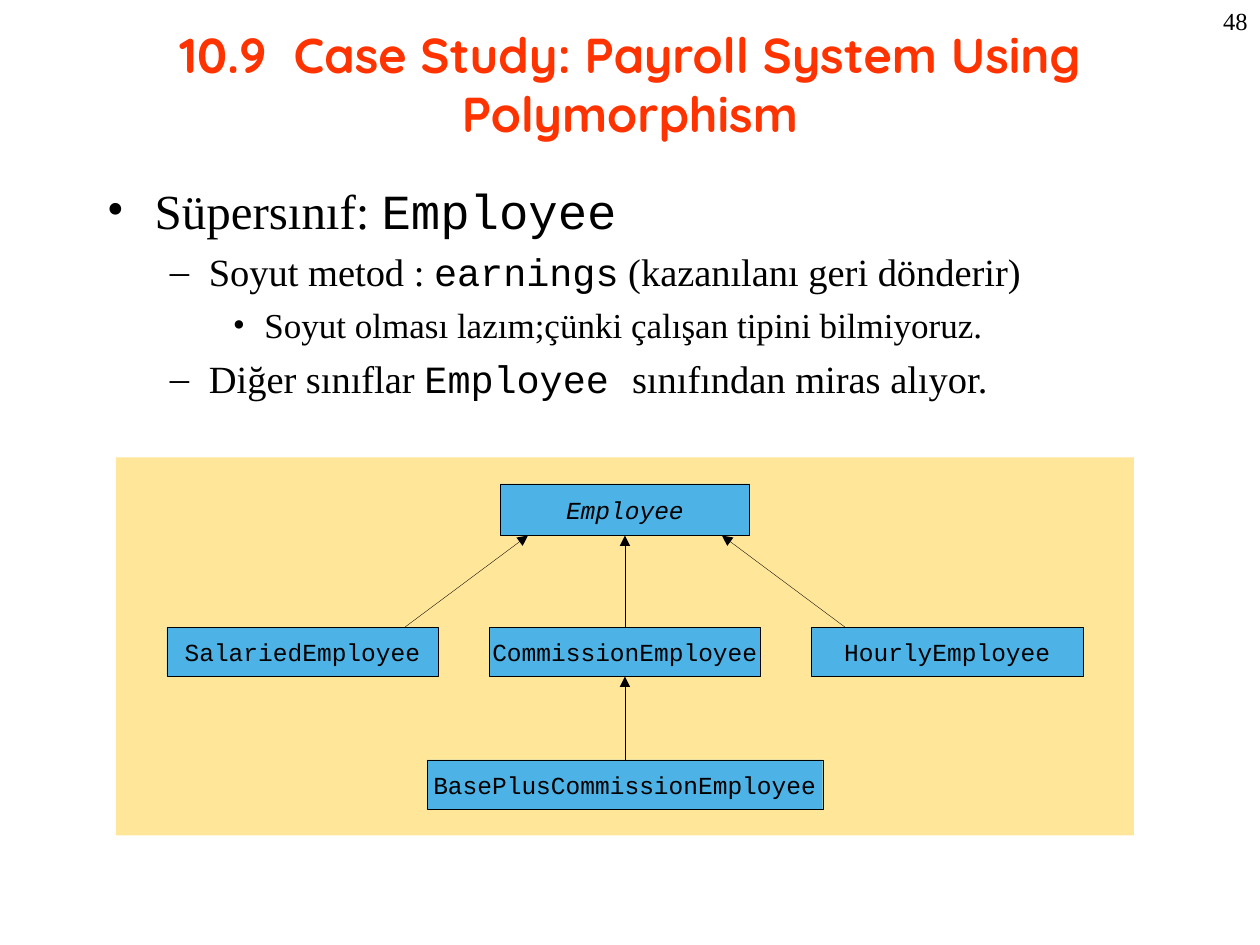
from lxml.etree import SubElement
from pptx import Presentation
from pptx.dml.color import RGBColor
from pptx.enum.shapes import MSO_CONNECTOR as Connector, MSO_SHAPE as Shape
from pptx.enum.text import MSO_ANCHOR as Anchor, PP_ALIGN as Align
from pptx.oxml.ns import qn
from pptx.util import Inches, Pt

SERIF, MONO, DISPLAY = "Times New Roman", "Courier New", "Quicksand"
BLACK, RED, SAND, BLUE = "000000", "FF3300", "FFE699", "4DB3E6"
TOP, BOTTOM = 0, 2
LEVELS = [("•", 28, 0.38, 0.38, 0), ("–", 22, 0.81, 0.31, 5.5), ("•", 20, 1.25, 0.25, 5)]
OUTLINE = [
    (0, [("Süpersınıf: ", SERIF), ("Employee", MONO)]),
    (1, [("Soyut metod : ", SERIF), ("earnings", MONO), (" (kazanılanı geri dönderir)", SERIF)]),
    (2, [("Soyut olması lazım;çünki çalışan tipini bilmiyoruz.", SERIF)]),
    (1, [("Diğer sınıflar ", SERIF), ("Employee ", MONO), ("sınıfından miras alıyor.", SERIF)]),
]


def color(hex_code):
    """Turn a hex string into a colour."""
    return RGBColor.from_string(hex_code)


def write(paragraph, text, font=SERIF, size=14, ink=BLACK, bold=False, italic=False, align=None):
    """Add a formatted run to a paragraph."""
    run = paragraph.add_run()
    run.text = text
    run.font.name, run.font.size = font, Pt(size)
    run.font.bold, run.font.italic = bold, italic
    run.font.color.rgb = color(ink)
    if align is not None:
        paragraph.alignment = align


def add_frame(slide, box, anchor=Anchor.TOP):
    """Place a wrapping text box and return its frame."""
    frame = slide.shapes.add_textbox(*map(Inches, box)).text_frame
    frame.word_wrap, frame.vertical_anchor = True, anchor
    return frame


def add_outline(slide, box):
    """Place the bulleted outline in the box."""
    frame = add_frame(slide, box)
    for index, (level, runs) in enumerate(OUTLINE):
        paragraph = frame.add_paragraph() if index else frame.paragraphs[0]
        mark, size, margin, hanging, before = LEVELS[level]
        paragraph.level = level
        if index:
            paragraph.space_before = Pt(before)
        properties = paragraph._p.get_or_add_pPr()
        properties.set("marL", str(Inches(margin)))
        properties.set("indent", str(-Inches(hanging)))
        SubElement(properties, qn("a:buFont"), typeface=SERIF)
        SubElement(properties, qn("a:buChar"), char=mark)
        for text, font in runs:
            write(paragraph, text, font=font, size=size)


def add_rectangle(slide, box, fill):
    """Place a flat rectangle without an outline."""
    rectangle = slide.shapes.add_shape(Shape.RECTANGLE, *map(Inches, box))
    rectangle.shadow.inherit = False
    rectangle.fill.solid()
    rectangle.fill.fore_color.rgb = color(fill)
    rectangle.line.fill.background()
    return rectangle


def add_class(slide, name, center, top, width, height=0.39, italic=False):
    """Place a class box centred on a column."""
    node = add_rectangle(slide, (center - width / 2, top, width, height), BLUE)
    node.line.color.rgb, node.line.width = color(BLACK), Pt(0.2)
    frame = node.text_frame
    frame.margin_left = frame.margin_right = frame.margin_top = frame.margin_bottom = 0
    frame.word_wrap, frame.vertical_anchor = False, Anchor.MIDDLE
    write(frame.paragraphs[0], name, font=MONO, italic=italic, align=Align.CENTER)
    return node


def add_arrow(slide, start=(0, 0), end=(0, 0), child=None, parent=None):
    """Draw an inheritance arrow between points or joined classes."""
    arrow = slide.shapes.add_connector(Connector.STRAIGHT, *map(Inches, (*start, *end)))
    if child is not None:
        arrow.begin_connect(child, TOP)
        arrow.end_connect(parent, BOTTOM)
    arrow.line.color.rgb, arrow.line.width = color(BLACK), Pt(0.2)
    SubElement(arrow.line._get_or_add_ln(), qn("a:tailEnd"), type="triangle")
    SubElement(arrow._element.spPr, qn("a:effectLst"))


def add_hierarchy(slide, box):
    """Place the class diagram in the box."""
    left, top, width, height = box
    add_rectangle(slide, box, SAND)
    gap = width / 20
    column = (width - 4 * gap) / 3
    centers = [left + gap + column / 2 + i * (column + gap) for i in range(3)]
    middle = centers[1]
    root_top, child_top, leaf_top = (top + height * share for share in (0.07, 0.45, 0.8))
    root_height = 0.41
    root = add_class(slide, "Employee", middle, root_top, 1.98, root_height, italic=True)
    names = ["SalariedEmployee", "CommissionEmployee", "HourlyEmployee"]
    children = [add_class(slide, name, center, child_top, column)
                for name, center in zip(names, centers)]
    leaf = add_class(slide, "BasePlusCommissionEmployee", middle, leaf_top, 3.14)
    for side in (-1, 1):
        add_arrow(slide, (middle + side * 1.75, child_top),
                  (middle + side * 0.77, root_top + root_height))
    add_arrow(slide, child=children[1], parent=root)
    add_arrow(slide, child=leaf, parent=children[1])


def main():
    """Build the slide and save it."""
    deck = Presentation()
    deck.slide_width, deck.slide_height = Inches(10), Inches(7.5)
    slide = deck.slides.add_slide(deck.slide_layouts[6])
    title = add_frame(slide, (0.75, 0.08, 8.5, 1.17), Anchor.MIDDLE)
    write(title.paragraphs[0], "10.9  Case Study: Payroll System Using Polymorphism",
          font=DISPLAY, size=28, ink=RED, bold=True, align=Align.CENTER)
    add_outline(slide, (0.75, 1.38, 8.5, 5.7))
    add_hierarchy(slide, (0.92, 3.63, 8.08, 3))
    number = add_frame(slide, (7.92, 0, 2.08, 0.5))
    write(number.paragraphs[0], "48", align=Align.RIGHT)
    deck.save("out.pptx")


if __name__ == "__main__":
    main()
